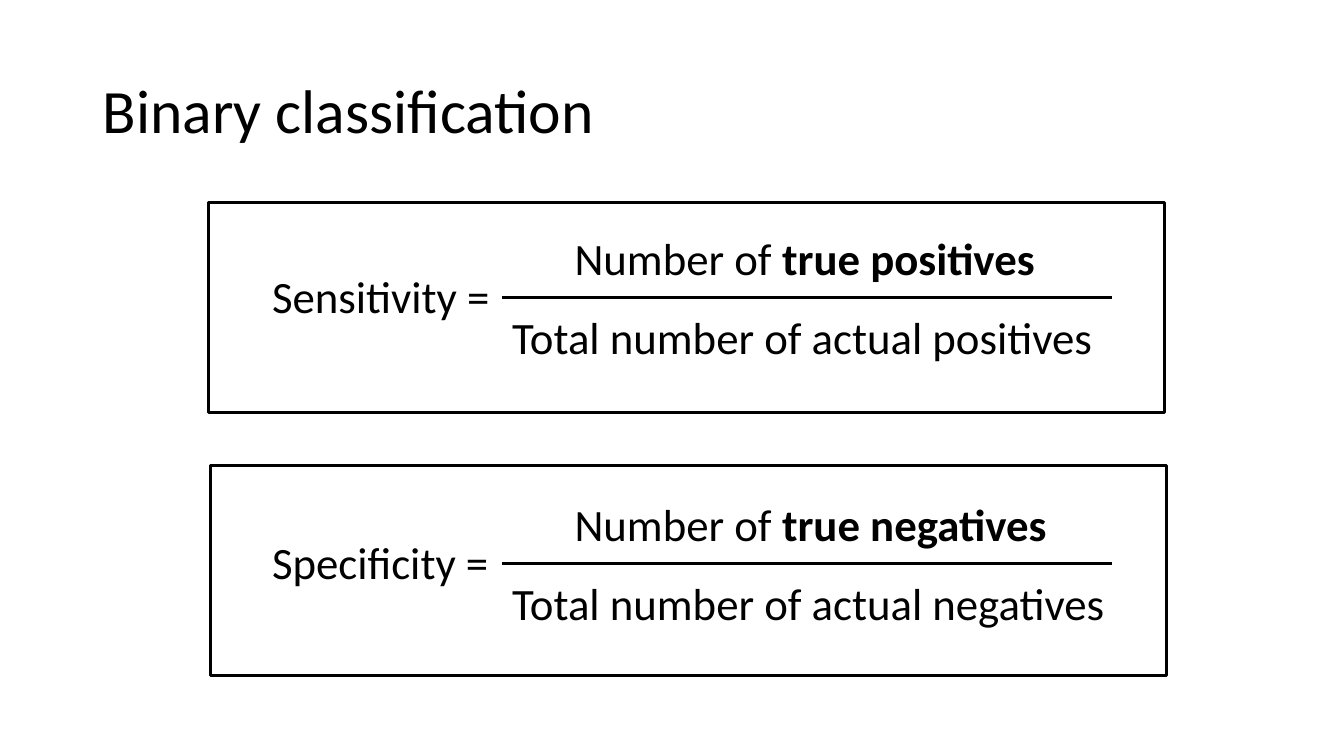
import pptx
import pptx.util
import pptx.dml.color
import pptx.enum.shapes
import pptx.enum.text
import lxml.etree

PX = 9144
INK = {"black": "000000"}
black = pptx.dml.color.RGBColor.from_string(INK["black"])
anchor = pptx.enum.text.MSO_ANCHOR
fit = pptx.enum.text.MSO_AUTO_SIZE


def write(x, y, w, h, size, runs, wrap):
    box = slide.shapes.add_textbox(x * PX, y * PX, w * PX, h * PX)
    frame = box.text_frame
    frame.word_wrap = wrap
    for words, bold in runs:
        run = frame.paragraphs[0].add_run()
        run.text = words
        run.font.name = "Calibri"
        run.font.size = pptx.util.Pt(size)
        run.font.bold = bold
        run.font.color.rgb = black
    return frame


def ink(line):
    line.color.rgb = black
    line.width = pptx.util.Pt(2.25)


deck = pptx.Presentation()
deck.slide_width = 1333 * PX
deck.slide_height = 750 * PX
slide = deck.slides.add_slide(deck.slide_layouts[6])

title = write(92, 40, 1150, 145, 44, [("Binary classification", False)], True)
title.vertical_anchor = anchor.MIDDLE
title.paragraphs[0].line_spacing = 0.9

rates = [
    ("Sensitivity", "positives", 239, 481, 207, 201, 224),
    ("Specificity", "negatives", 237, 493, 209, 462, 488),
]
for rate, kind, name_w, top_w, left, edge, top in rates:
    frame = slide.shapes.add_shape(
        pptx.enum.shapes.MSO_SHAPE.RECTANGLE,
        left * PX, edge * PX, 948 * PX, 208 * PX)
    frame.shadow.inherit = False
    frame.fill.background()
    ink(frame.line)

    texts = [
        (260, top + 38, name_w, [(f"{rate} =", False)], False),
        (560, top, top_w, [("Number of ", False), (f"true {kind}", True)], False),
        (498, top + 78, 632, [(f"Total number of actual {kind}", False)], True),
    ]
    for x, y, w, runs, wrap in texts:
        write(x, y, w, 64, 32, runs, wrap).auto_size = fit.SHAPE_TO_FIT_TEXT

    bar = slide.shapes.add_connector(
        pptx.enum.shapes.MSO_CONNECTOR.STRAIGHT,
        498 * PX, (top + 71) * PX, 1103 * PX, (top + 71) * PX)
    ink(bar.line)
    lxml.etree.SubElement(bar.element.spPr, pptx.oxml.ns.qn("a:effectLst"))

deck.save("out.pptx")
